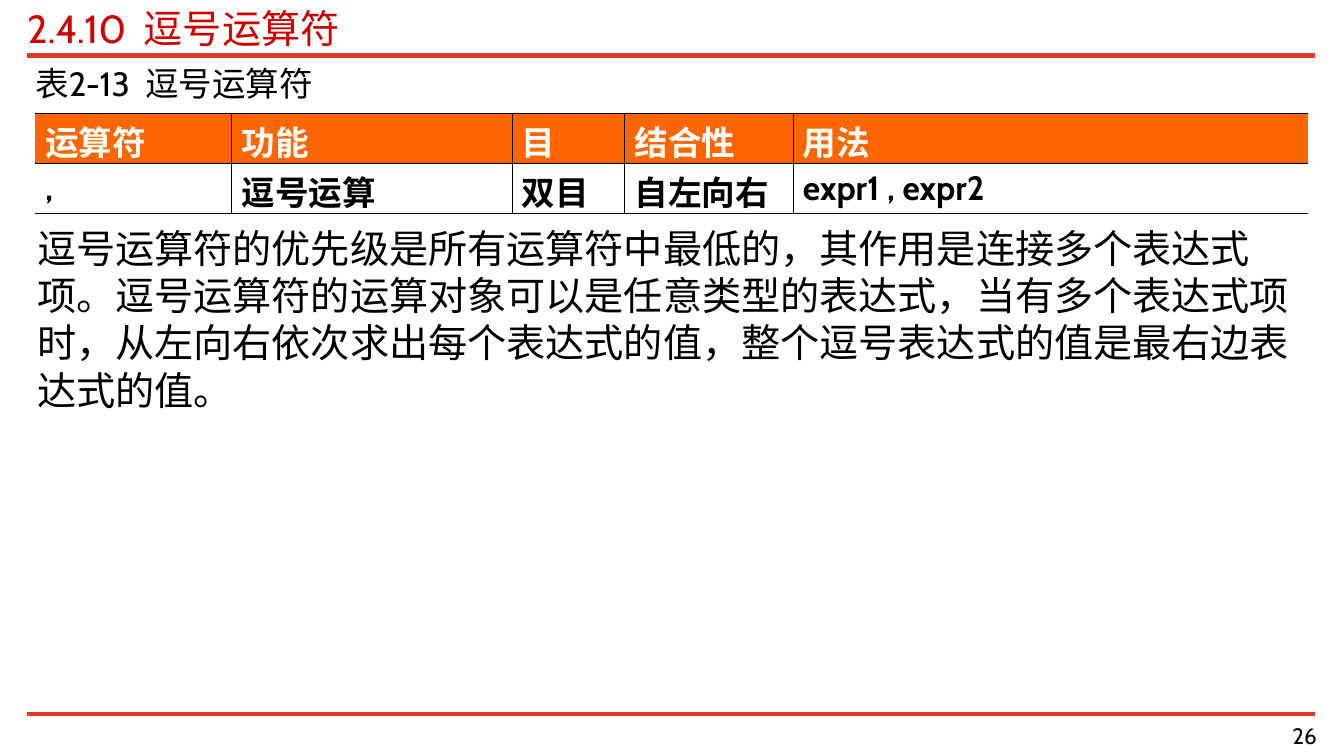
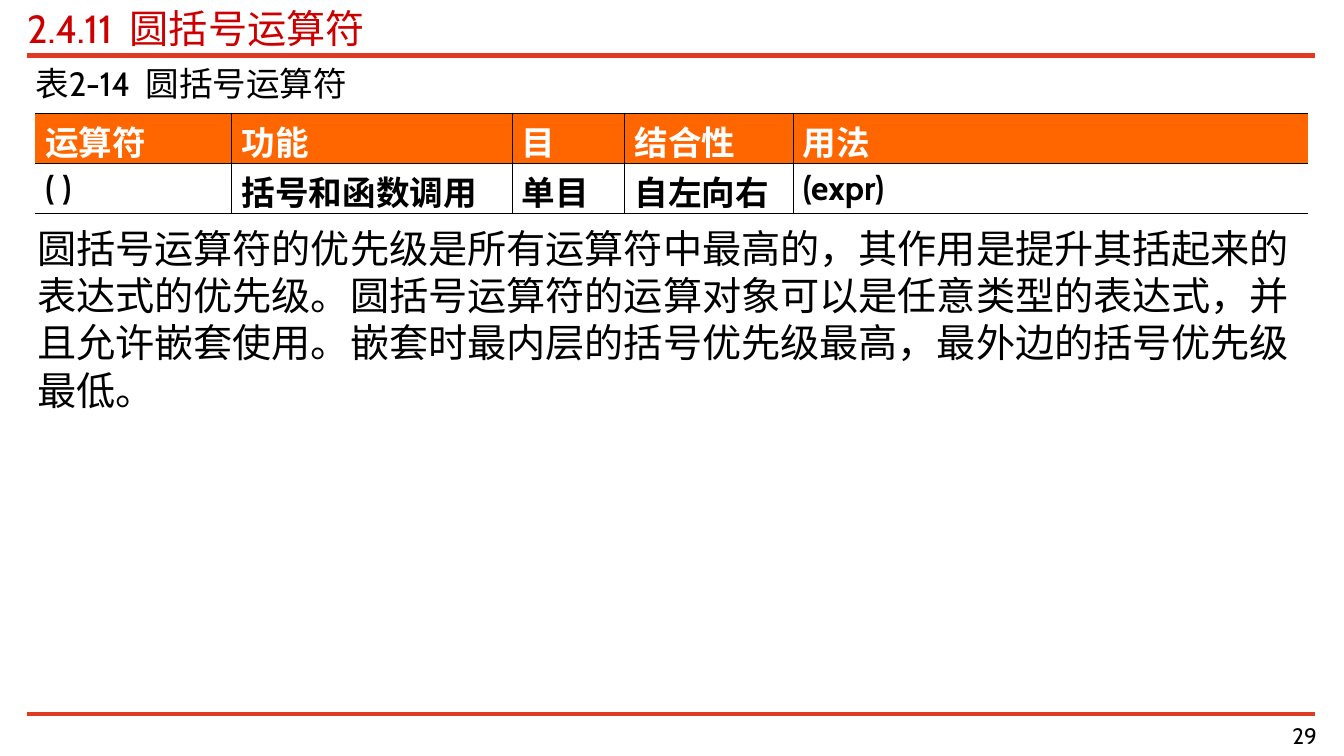
from pptx import Presentation
from pptx.dml.color import RGBColor as RGB
from pptx.enum.shapes import MSO_CONNECTOR as CONN
from pptx.enum.text import MSO_ANCHOR as ANCHOR, PP_ALIGN as ALIGN
from pptx.oxml import parse_xml
from pptx.oxml.ns import nsdecls, qn
from pptx.util import Pt
from lxml.etree import SubElement

# Content
HEADER = ["运算符", "功能", "目", "结合性", "用法"]
SLIDES = [
    dict(
        title="2.4.10  逗号运算符",
        caption="表2-13  逗号运算符",
        row=[",", "逗号运算", "双目", "自左向右", "expr1 , expr2"],
        body="逗号运算符的优先级是所有运算符中最低的，其作用是连接多个表达式项。"
             "逗号运算符的运算对象可以是任意类型的表达式，当有多个表达式项时，"
             "从左向右依次求出每个表达式的值，整个逗号表达式的值是最右边表达式的值。",
        page="26",
    ),
    dict(
        title="2.4.11  圆括号运算符",
        caption="表2-14  圆括号运算符",
        row=["( )", "括号和函数调用", "单目", "自左向右", "(expr)"],
        body="圆括号运算符的优先级是所有运算符中最高的，其作用是提升其括起来的表达式的优先级。"
             "圆括号运算符的运算对象可以是任意类型的表达式，并且允许嵌套使用。"
             "嵌套时最内层的括号优先级最高，最外边的括号优先级最低。",
        page="29",
    ),
]


# Theme and layout: lengths in px, 100 px to the inch
class Theme:
    font = "Cabin"
    title, rule, header = RGB(0xCC, 0, 0), RGB(0xE1, 0x3A, 0x23), RGB(0xFF, 0x66, 0)
    ink, white = RGB(0, 0, 0), RGB(255, 255, 255)
    large, medium, small = 28, 24, 16
    row_line, col_line = 0.62, 0.45


PX = 9144
WIDTH, HEIGHT = 1334, 750
LEFT, RIGHT = 27, 1305
RULES = [(55, 4), (708, 3)]
TABLE_LEFT, TABLE_TOP, ROW_HEIGHT = 35, 112, 50
COLUMNS = [195, 278, 112, 167, 511]
PAD_X, PAD_Y = 10, 5


def style(p, size, color, bold=False):
    p._p.get_or_add_pPr().set("hangingPunct", "0")
    for r in p.runs:
        r.font.name, r.font.size, r.font.bold = Theme.font, Pt(size), bold
        r.font.color.rgb = color
        SubElement(r.font._element, qn("a:ea")).set("typeface", Theme.font)


def add_text(s, text, box, size, color, pad=(0, 0), align=ALIGN.LEFT, anchor=ANCHOR.TOP):
    tf = s.shapes.add_textbox(*(v * PX for v in box)).text_frame
    tf.word_wrap = True
    tf.vertical_anchor = anchor
    tf.margin_left = tf.margin_right = pad[0] * PX
    tf.margin_top = tf.margin_bottom = pad[1] * PX
    tf.text = text
    p = tf.paragraphs[0]
    p.alignment = align
    style(p, size, color)


def add_rule(s, y, weight):
    line = s.shapes.add_connector(CONN.STRAIGHT, LEFT * PX, y * PX, RIGHT * PX, y * PX)
    line.line.color.rgb, line.line.width = Theme.rule, Pt(weight)
    SubElement(line._element.spPr, qn("a:effectLst"))


def set_borders(cell, widths):
    """Draw left, right, top and bottom borders; a width of 0 means none."""
    tc_pr = cell._tc.get_or_add_tcPr()
    for i, (side, width) in enumerate(zip("LRTB", widths)):
        fill = f'<a:solidFill><a:srgbClr val="{Theme.ink}"/></a:solidFill>' if width else "<a:noFill/>"
        tc_pr.insert(i, parse_xml(f'<a:ln{side} {nsdecls("a")} w="{Pt(width)}">{fill}</a:ln{side}>'))


def add_operator_table(s, rows):
    table = s.shapes.add_table(len(rows), len(COLUMNS), TABLE_LEFT * PX, TABLE_TOP * PX,
                               sum(COLUMNS) * PX, len(rows) * ROW_HEIGHT * PX).table
    table.horz_banding = False
    for column, width in zip(table.columns, COLUMNS):
        column.width = width * PX
    for i, row in enumerate(rows):
        table.rows[i].height = ROW_HEIGHT * PX
        for j, text in enumerate(row):
            cell = table.cell(i, j)
            cell.margin_left = cell.margin_right = PAD_X * PX
            # Chinese text sits lower in its row than code
            drop = 0 if text.isascii() else PAD_Y
            cell.margin_top = (PAD_Y + drop) * PX
            cell.margin_bottom = (PAD_Y - drop) * PX
            cell.text = text
            style(cell.text_frame.paragraphs[0], Theme.medium,
                  Theme.ink if i else Theme.white, bold=True)
            if i:
                cell.fill.background()
            else:
                cell.fill.solid()
                cell.fill.fore_color.rgb = Theme.header
            set_borders(cell, (Theme.col_line if j else 0,
                               Theme.col_line if j < len(row) - 1 else 0,
                               Theme.row_line, Theme.row_line))


def add_operator_slide(prs, item):
    s = prs.slides.add_slide(prs.slide_layouts[6])
    # Shared frame
    for y, weight in RULES:
        add_rule(s, y, weight)
    add_text(s, item["title"], (LEFT, 4, RIGHT - LEFT, 47), Theme.large, Theme.title,
             anchor=ANCHOR.MIDDLE)
    add_text(s, item["page"], (1039, 714, 268, 31), Theme.small, Theme.ink,
             align=ALIGN.RIGHT, anchor=ANCHOR.MIDDLE)
    # Table and explanation
    add_text(s, item["caption"], (TABLE_LEFT, 62, 1264, 40), Theme.medium, Theme.ink)
    add_operator_table(s, [HEADER, item["row"]])
    add_text(s, item["body"], (LEFT, 218, RIGHT - LEFT, 480), Theme.large, Theme.ink,
             pad=(PAD_X, PAD_Y))


def main():
    prs = Presentation()
    prs.slide_width, prs.slide_height = WIDTH * PX, HEIGHT * PX
    for item in SLIDES:
        add_operator_slide(prs, item)
    prs.save("out.pptx")


if __name__ == "__main__":
    main()
